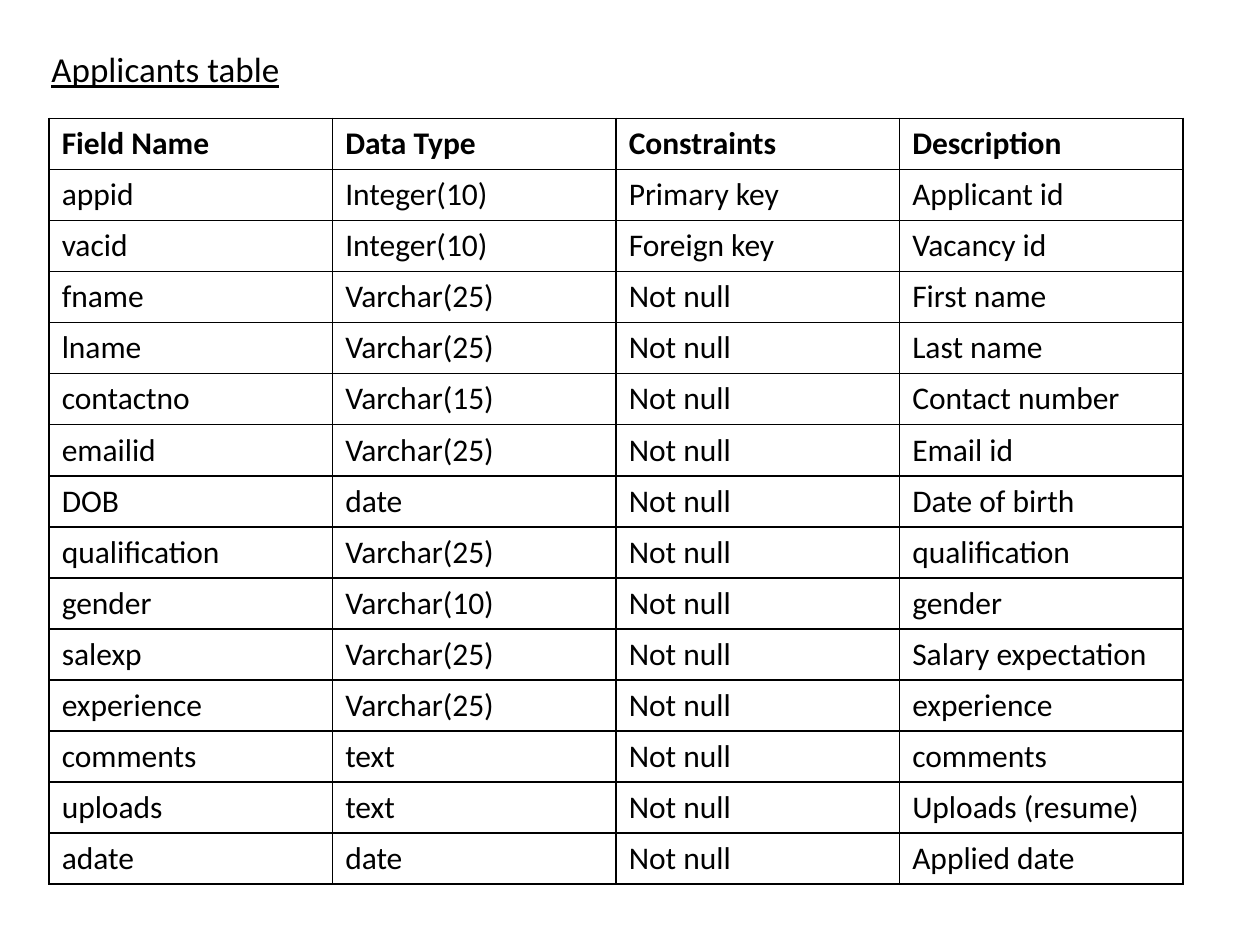
"""Build a slide that documents the fields of the Applicants table."""
from lxml.etree import SubElement
from pptx import Presentation
from pptx.dml.color import RGBColor
from pptx.enum.text import MSO_ANCHOR
from pptx.oxml.ns import qn
from pptx.util import Inches, Pt

TITLE = "Applicants table"
HEADINGS = ("Field Name", "Data Type", "Constraints", "Description")
FIELDS = [
    ("appid", "Integer(10)", "Primary key", "Applicant id"),
    ("vacid", "Integer(10)", "Foreign key", "Vacancy id"),
    ("fname", "Varchar(25)", "Not null", "First name"),
    ("lname", "Varchar(25)", "Not null", "Last name"),
    ("contactno", "Varchar(15)", "Not null", "Contact number"),
    ("emailid", "Varchar(25)", "Not null", "Email id"),
    ("DOB", "date", "Not null", "Date of birth"),
    ("qualification", "Varchar(25)", "Not null", "qualification"),
    ("gender", "Varchar(10)", "Not null", "gender"),
    ("salexp", "Varchar(25)", "Not null", "Salary expectation"),
    ("experience", "Varchar(25)", "Not null", "experience"),
    ("comments", "text", "Not null", "comments"),
    ("uploads", "text", "Not null", "Uploads (resume)"),
    ("adate", "date", "Not null", "Applied date"),
]
FONT = "Calibri"
BLACK = "000000"
TABLE_HEIGHT = 6.08


def color(hex_code):
    return RGBColor.from_string(hex_code)


def write(frame, text, size, bold=False, underline=False):
    frame.text = text
    font = frame.paragraphs[0].runs[0].font
    font.name, font.size = FONT, Pt(size)
    font.bold, font.underline = bold, underline
    font.color.rgb = color(BLACK)


def add_borders(cell):
    properties = cell._tc.get_or_add_tcPr()
    for side in ("a:lnL", "a:lnR", "a:lnT", "a:lnB"):
        border = SubElement(properties, qn(side), w=str(Pt(1)))
        fill = SubElement(border, qn("a:solidFill"))
        SubElement(fill, qn("a:srgbClr"), val=BLACK)


def add_title(slide):
    title = slide.shapes.add_textbox(Inches(0.31), Inches(0.16), Inches(9), Inches(0.77))
    frame = title.text_frame
    frame.word_wrap = True
    frame.vertical_anchor = MSO_ANCHOR.MIDDLE
    write(frame, TITLE, 20, underline=True)


def add_fields(slide):
    rows = [HEADINGS, *FIELDS]
    fields = slide.shapes.add_table(
        len(rows), len(HEADINGS), Inches(0.39), Inches(0.94), Inches(9), Inches(TABLE_HEIGHT)
    ).table
    fields.horz_banding = False
    for r, row in enumerate(rows):
        for c, text in enumerate(row):
            cell = fields.cell(r, c)
            write(cell.text_frame, text, 18, bold=r == 0)
            add_borders(cell)
            cell.fill.background()


def main():
    deck = Presentation()
    deck.slide_width, deck.slide_height = Inches(10), Inches(7.5)
    slide = deck.slides.add_slide(deck.slide_layouts[6])
    add_title(slide)
    add_fields(slide)
    deck.save("out.pptx")


if __name__ == "__main__":
    main()
